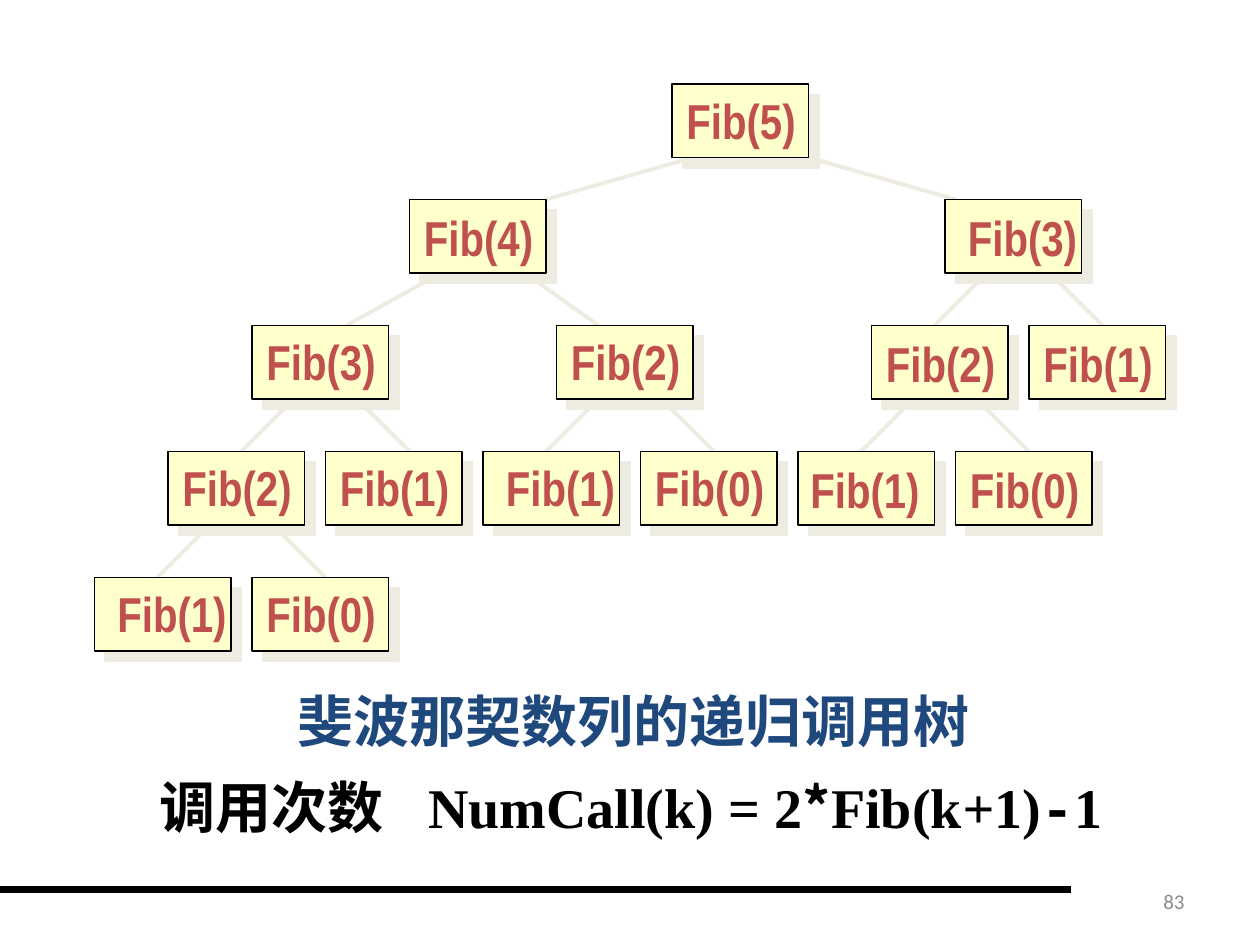
from lxml import etree
from pptx import Presentation, util as u
from pptx.dml.color import RGBColor
from pptx.enum import shapes, text
from pptx.oxml.ns import qn

COLORS = {"box": "FFFFCC", "shade": "EEECE1", "call": "C0504D",
          "caption": "1F497D", "ink": "000000", "number": "8C8C8C"}
CJK, SERIF = "Noto Sans CJK SC", "Times New Roman"

# The tree sits on a grid of 1/12 inch.
UNIT = 1 / 12
BOX_W, BOX_H = 13, 7
LEVEL_TOPS = (8, 19, 31, 43, 55)
BRANCHES = ((4, -5), (10, 5))  # start offset within the parent, sideways run
# (argument, level, column, label offset, children, branches)
TREE = (5, 0, 64, (0.2, 0), (
    (4, 1, 39, (0.2, 0.2), (
        (3, 2, 24, (0.2, 0), (
            (2, 3, 16, (0.2, 0), (
                (1, 4, 9, (1, 0), (), ()),
                (0, 4, 24, (0.2, 0), (), ())), BRANCHES),
            (1, 3, 31, (0.2, 0), (), ())), BRANCHES),
        (2, 2, 53, (0.2, 0), (
            (1, 3, 46, (1, 0), (), ()),
            (0, 3, 61, (0.2, 0), (), ())), BRANCHES)), ((3, -9), (11, 7))),
    (3, 1, 90, (1, 0.2), (
        (2, 2, 83, (0.2, 0.2), (
            (1, 3, 76, (0, 0.2), (), ()),
            (0, 3, 91, (0.2, 0.2), (), ())), BRANCHES),
        (1, 2, 98, (0.2, 0.2), (), ())), BRANCHES)), ((2, -14), (13, 14)))

CAPTION = "斐波那契数列的递归调用树"
FORMULA = [("调用次数\t", SERIF, False), ("NumCall(k) = 2", SERIF, False), ("*", CJK, False),
           ("Fib(k", SERIF, False), ("+", SERIF, True), ("1)", SERIF, False),
           ("-", "Courier New", False), ("1", SERIF, False)]
FORMULA_TAB = 2.13
PAGE = "83"


def rgb(name):
    return RGBColor.from_string(COLORS[name])


def inches(*lengths):
    return [u.Inches(length) for length in lengths]


def style(run, size, font, color, bold=True, italic=False):
    run.font.size, run.font.name = u.Pt(size), font
    run.font.bold, run.font.italic = bold, italic
    run.font.color.rgb = rgb(color)
    east_asian = etree.SubElement(run.font._element, qn("a:ea"))
    east_asian.set("typeface", CJK)


def add_line(slide, start, end, color, width):
    line = slide.shapes.add_connector(shapes.MSO_CONNECTOR.STRAIGHT, *inches(*start, *end))
    line.line.color.rgb = rgb(color)
    line.line.width = u.Pt(width)
    etree.SubElement(line._element.spPr, qn("a:effectLst"))


def add_text(slide, area, words="", wrap=True):
    frame = slide.shapes.add_textbox(*inches(*area)).text_frame
    frame.word_wrap = wrap
    frame.text = words
    return frame


def walk(node):
    yield node
    for child in node[4]:
        yield from walk(child)


def add_branches(slide, node):
    _, level, column, _, children, branches = node
    for _, (offset, run) in zip(children, branches):
        x = column + offset
        add_line(slide, (x * UNIT, (LEVEL_TOPS[level] + BOX_H) * UNIT),
                 ((x + run) * UNIT, LEVEL_TOPS[level + 1] * UNIT), "shade", 2.25)


def add_box(slide, node):
    area = (node[2], LEVEL_TOPS[node[1]], BOX_W, BOX_H)
    box = slide.shapes.add_shape(shapes.MSO_SHAPE.RECTANGLE,
                                 *inches(*(length * UNIT for length in area)))
    box.fill.solid()
    box.fill.fore_color.rgb = rgb("box")
    box.line.color.rgb = rgb("ink")
    box.line.width = u.Pt(0.75)
    box.shadow.inherit = False
    effects = box._element.spPr.find(qn("a:effectLst"))
    shadow = etree.SubElement(effects, qn("a:outerShdw"), dist=str(u.Pt(8.5)),
                              dir=str(45 * 60000), algn="ctr", rotWithShape="0")
    etree.SubElement(shadow, qn("a:srgbClr"), val=COLORS["shade"])


def add_label(slide, node):
    argument, level, column, (dx, dy) = node[:4]
    frame = add_text(slide, ((column + dx) * UNIT, (LEVEL_TOPS[level] + dy) * UNIT, 1.07, 0.57),
                     f"Fib({argument})", wrap=False)
    style(frame.paragraphs[0].runs[0], 28, "Arial Narrow", "call")


def add_caption(slide):
    title = slide.shapes.title
    title.left, title.top, title.width, title.height = inches(1.28, 5.4, 7.5, 0.63)
    title.text_frame.text = CAPTION
    title.text_frame.paragraphs[0].alignment = text.PP_ALIGN.CENTER
    style(title.text_frame.paragraphs[0].runs[0], 32, CJK, "caption")


def add_formula(slide):
    line = add_text(slide, (1.17, 6.08, 8.24, 0.7)).paragraphs[0]
    tabs = etree.SubElement(line._p.get_or_add_pPr(), qn("a:tabLst"))
    etree.SubElement(tabs, qn("a:tab"), pos=str(u.Inches(FORMULA_TAB)), algn="l")
    for words, font, italic in FORMULA:
        run = line.add_run()
        run.text = words
        style(run, 32, font, "ink", italic=italic)


def add_page_number(slide):
    frame = add_text(slide, (7.17, 6.95, 2.33, 0.4), PAGE)
    frame.vertical_anchor = text.MSO_ANCHOR.MIDDLE
    frame.paragraphs[0].alignment = text.PP_ALIGN.RIGHT
    style(frame.paragraphs[0].runs[0], 12, "Calibri", "number", bold=False)


def main():
    deck = Presentation()
    deck.slide_width, deck.slide_height = inches(10, 7.5)
    slide = deck.slides.add_slide(deck.slide_layouts[5])
    add_line(slide, (0, 7.06), (8.5, 7.06), "ink", 4.5)
    add_page_number(slide)
    add_caption(slide)
    add_formula(slide)
    for add_part in (add_branches, add_box, add_label):
        for node in walk(TREE):
            add_part(slide, node)
    deck.save("out.pptx")


if __name__ == "__main__":
    main()
